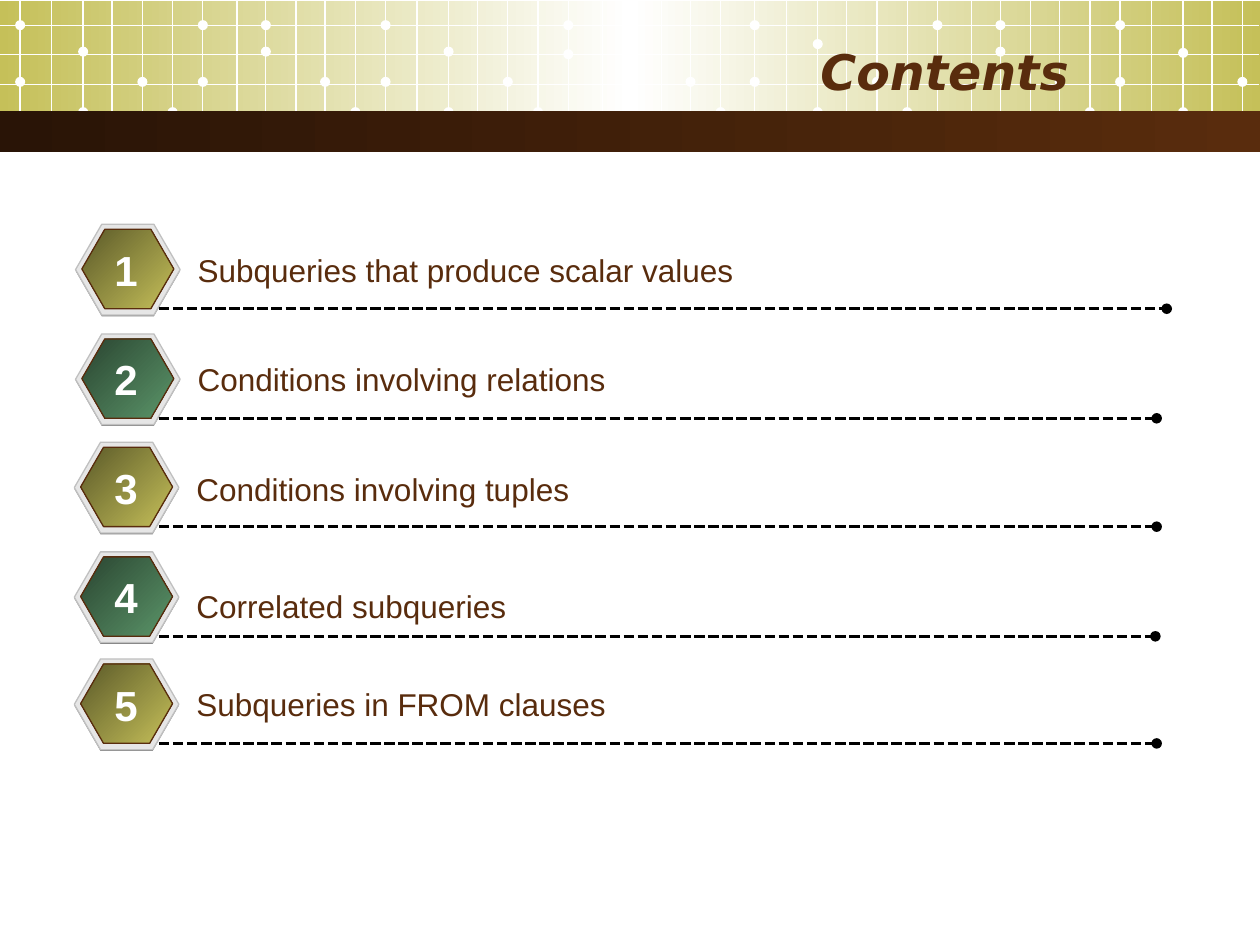
"""Build a contents slide with a patterned header and five numbered topics."""
from copy import deepcopy

from lxml import etree
from pptx import Presentation, util as u
from pptx.dml.color import RGBColor
from pptx.enum import dml, shapes, text
from pptx.oxml import ns

WHITE = RGBColor(0xFF, 0xFF, 0xFF)
BLACK = RGBColor(0x00, 0x00, 0x00)
BROWN = RGBColor(0x59, 0x2C, 0x0D)
DARK_BROWN = RGBColor(0x29, 0x14, 0x06)
OLIVE = RGBColor(0xC5, 0xC0, 0x59)
DARK_OLIVE = RGBColor(0x5B, 0x59, 0x29)
GREEN = RGBColor(0x5B, 0x95, 0x69)
DARK_GREEN = RGBColor(0x2A, 0x45, 0x31)
SHADE = RGBColor(0x80, 0x80, 0x80)
RIM = RGBColor(0xE6, 0xE6, 0xE6)
RIM_EDGE = RGBColor(0xC0, 0xC0, 0xC0)

TITLE = "Contents"
# topic, badge left, badge top, text drop, text width, rule end
TOPICS = [
    ("Subqueries that produce scalar values", 0.6, 1.78, 0.16, 5.31, 9.26),
    ("Conditions involving relations", 0.6, 2.65, 0.16, 6.44, 9.18),
    ("Conditions involving tuples", 0.59, 3.51, 0.17, 7.64, 9.18),
    ("Correlated subqueries", 0.59, 4.38, 0.23, 8.18, 9.17),
    ("Subqueries in FROM clauses", 0.59, 5.23, 0.16, 7.64, 9.18),
]
BADGE_FILLS = [[DARK_OLIVE, OLIVE], [DARK_GREEN, GREEN]]

# tile left, number of columns, dot tops in columns 2 and 6
TILES = [(0.16, 12, 0.37, 0.61), (3.06, 12, 0.37, 0.39),
         (5.99, 12, 0.31, 0.47), (8.89, 5, 0.38, 0.61)]
COLUMNS = [0, 0.25, 0.5, 0.73, 0.97, 1.21, 1.45, 1.72, 1.95, 2.19, 2.42, 2.66]
ROWS = [0.2, 0.43, 0.67, 0.89]
DOT = 0.08

presentation = Presentation()
presentation.slide_width, presentation.slide_height = u.Inches(10), u.Inches(7.5)
slide = presentation.slides.add_slide(presentation.slide_layouts[6])


def add_shape(kind, box, fill, edge=None, angle=0):
    shape = slide.shapes.add_shape(kind, *map(u.Inches, box))
    shape.shadow.inherit = False
    if isinstance(fill, list):
        shape.fill.gradient()
        shape.fill.gradient_angle = angle
        stops = shape.element.spPr.find(".//" + ns.qn("a:gsLst"))
        for _ in fill[2:]:
            stops.append(deepcopy(stops[-1]))
        for index, stop in enumerate(shape.fill.gradient_stops):
            stop.position = index / (len(fill) - 1)
            stop.color.rgb = fill[index]
    else:
        shape.fill.solid()
        shape.fill.fore_color.rgb = fill
    if edge is None:
        shape.line.fill.background()
    else:
        shape.line.color.rgb = edge
        shape.line.width = u.Pt(0.74)
    return shape


def add_line(start, end, color, width):
    line = slide.shapes.add_connector(
        shapes.MSO_CONNECTOR.STRAIGHT, *map(u.Inches, start + end))
    line.line.color.rgb = color
    line.line.width = u.Pt(width)
    etree.SubElement(line.element.spPr, ns.qn("a:effectLst"))
    return line


def add_text(content, box, size, color, font="Arial", bold=False, italic=False,
             align=text.PP_ALIGN.LEFT, anchor=text.MSO_ANCHOR.TOP, wrap=True):
    frame = slide.shapes.add_textbox(*map(u.Inches, box)).text_frame
    frame.word_wrap = wrap
    frame.vertical_anchor = anchor
    paragraph = frame.paragraphs[0]
    paragraph.alignment = align
    run = paragraph.add_run()
    run.text = content
    run.font.name, run.font.size = font, u.Pt(size)
    run.font.bold, run.font.italic = bold, italic
    run.font.color.rgb = color


def add_header():
    rectangle = shapes.MSO_SHAPE.RECTANGLE
    add_shape(rectangle, (0, 0.01, 10, 1.02), [OLIVE, WHITE, OLIVE])
    for left, count, second, sixth in TILES:
        for column in COLUMNS[:count]:
            add_line((left + column, 0), (left + column, 1.1), WHITE, 0.74)
        dots = [(0, 0.61), (0, 0.16), (2, second), (2, 0.85), (4, 0.61),
                (5, 0.85), (6, sixth), (6, 0.16), (8, 0.37), (8, 0.16),
                (10, 0.61), (11, 0.85)]
        for column, top in dots:
            if column < count:
                add_shape(shapes.MSO_SHAPE.OVAL,
                          (left + COLUMNS[column] - DOT / 2, top, DOT, DOT), WHITE)
    for row in ROWS:
        add_line((-0.01, row), (9.99, row), WHITE, 0.74)
    add_shape(rectangle, (0, 0.88, 10, 0.33), [DARK_BROWN, BROWN])
    add_text(TITLE, (0.5, 0.25, 8.08, 0.62), 28, BROWN, "DejaVu Sans", True, True,
             text.PP_ALIGN.RIGHT, text.MSO_ANCHOR.MIDDLE)


def add_topic(number, topic, left, top, drop, width, rule_end):
    layers = [
        ((left, top + 0.01, 0.83, 0.72), SHADE, None),
        ((left, top, 0.83, 0.72), RIM, RIM_EDGE),
        ((left + 0.05, top + 0.04, 0.73, 0.63),
         BADGE_FILLS[(number - 1) % 2], BROWN),
    ]
    for box, fill, edge in layers:
        hexagon = add_shape(shapes.MSO_SHAPE.HEXAGON, box, fill, edge, 315)
        hexagon.adjustments[0] = 0.289
        hexagon.adjustments[1] = 1.155
    rule = add_line((1.26, top + 0.67), (rule_end, top + 0.67), BLACK, 2.01)
    rule.line.dash_style = dml.MSO_LINE.SQUARE_DOT
    outline = rule.element.spPr.find(ns.qn("a:ln"))
    etree.SubElement(outline, ns.qn("a:tailEnd"), type="oval")
    add_text(topic, (left + 0.87, top + drop, width, 0.4), 18, BROWN)
    add_text(str(number), (0.81, top + 0.11, 0.38, 0.5), 24, WHITE, bold=True,
             align=text.PP_ALIGN.CENTER, wrap=False)


add_header()
for number, topic in enumerate(TOPICS, 1):
    add_topic(number, *topic)
presentation.save("out.pptx")
